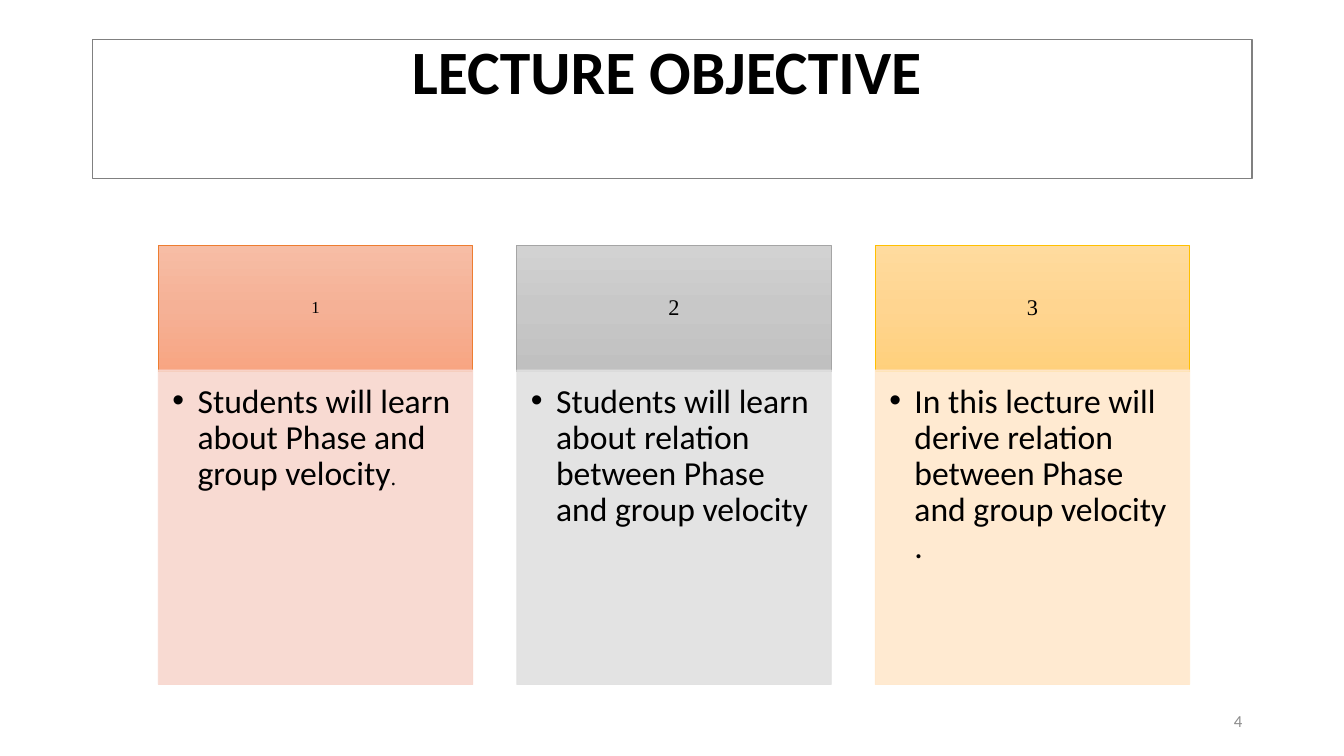
from copy import deepcopy

from lxml.etree import SubElement
from pptx import Presentation
from pptx.dml.color import RGBColor
from pptx.enum.shapes import MSO_SHAPE
from pptx.enum.text import MSO_ANCHOR, MSO_AUTO_SIZE, PP_ALIGN
from pptx.oxml.ns import qn
from pptx.util import Inches, Pt

BLACK = RGBColor(0x00, 0x00, 0x00)
FRAME_GRAY = RGBColor(0x80, 0x80, 0x80)
NUMBER_GRAY = RGBColor(0x8C, 0x8C, 0x8C)
ORANGE = RGBColor(0xED, 0x7D, 0x31)
ORANGE_STOPS = (RGBColor(0xF7, 0xBD, 0xA5), RGBColor(0xF5, 0xB1, 0x96), RGBColor(0xF8, 0xA5, 0x82))
ORANGE_TINT = RGBColor(0xF8, 0xD7, 0xCE)
GRAY = RGBColor(0xA5, 0xA5, 0xA5)
GRAY_STOPS = (RGBColor(0xD2, 0xD2, 0xD2), RGBColor(0xC8, 0xC8, 0xC8), RGBColor(0xC0, 0xC0, 0xC0))
GRAY_TINT = RGBColor(0xE1, 0xE1, 0xE1)
GOLD = RGBColor(0xFF, 0xC0, 0x00)
GOLD_STOPS = (RGBColor(0xFF, 0xDB, 0x9E), RGBColor(0xFF, 0xD5, 0x90), RGBColor(0xFF, 0xD0, 0x7C))
GOLD_TINT = RGBColor(0xFF, 0xE8, 0xCC)

SANS, SERIF = "Calibri", "Times New Roman"
COLUMN_LEFT, COLUMN_STEP, COLUMN_WIDTH = 1.57, 3.555, 3.12
HEADER_TOP, HEADER_HEIGHT = 2.43, 1.25
BODY_TOP, BODY_HEIGHT = 3.67, 3.12

COLUMNS = [
    (12, ORANGE, ORANGE_STOPS, ORANGE_TINT,
     [("Students will learn about Phase and group velocity", 24, SANS), (".", 16, SERIF)]),
    (16, GRAY, GRAY_STOPS, GRAY_TINT,
     [("Students will learn about relation between Phase and group velocity", 24, SANS)]),
    (16, GOLD, GOLD_STOPS, GOLD_TINT,
     [("In this lecture will derive relation between Phase and group velocity .", 24, SANS)]),
]


def set_attributes(target, values):
    for name, value in values.items():
        setattr(target, name, value)


def add_run(paragraph, text, size, font_name, color=BLACK, bold=False):
    run = paragraph.add_run()
    run.text = text
    set_attributes(run.font, {"size": Pt(size), "name": font_name, "bold": bold})
    run.font.color.rgb = color


def format_frame(frame, anchor, margins=(0.1, 0.05, 0.1, 0.05)):
    left, top, right, bottom = map(Inches, margins)
    set_attributes(frame, {
        "word_wrap": True, "auto_size": MSO_AUTO_SIZE.NONE, "vertical_anchor": anchor,
        "margin_left": left, "margin_top": top, "margin_right": right, "margin_bottom": bottom,
    })


def add_rectangle(slide, left, top, width, height, line_color, line_width):
    shape = slide.shapes.add_shape(
        MSO_SHAPE.RECTANGLE, Inches(left), Inches(top), Inches(width), Inches(height))
    shape.shadow.inherit = False
    shape.line.color.rgb = line_color
    shape.line.width = Pt(line_width)
    return shape


def fill_gradient(shape, colors):
    shape.fill.gradient()
    shape.fill.gradient_angle = 270
    stop_list = shape._element.spPr.find(qn("a:gradFill")).find(qn("a:gsLst"))
    stop_list.append(deepcopy(stop_list[-1]))
    for stop, color, position in zip(shape.fill.gradient_stops, colors, (0, 0.5, 1)):
        stop.color.rgb = color
        stop.position = position


def set_opacity(shape, percent):
    for color in shape._element.spPr.iter(qn("a:srgbClr")):
        SubElement(color, qn("a:alpha")).set("val", str(percent * 1000))


def add_bullet(paragraph, indent):
    properties = paragraph._p.get_or_add_pPr()
    properties.set("marL", str(Inches(indent)))
    properties.set("indent", str(-Inches(indent)))
    SubElement(properties, qn("a:buFont")).set("typeface", "Arial")
    SubElement(properties, qn("a:buChar")).set("char", "•")


def add_title(slide, text):
    title = slide.shapes.title
    set_attributes(title, {"left": Inches(1.43), "top": Inches(0.28),
                           "width": Inches(10.37), "height": Inches(0.84)})
    format_frame(title.text_frame, MSO_ANCHOR.TOP)
    paragraph = title.text_frame.paragraphs[0]
    paragraph.alignment = PP_ALIGN.CENTER
    add_run(paragraph, text, 44, SANS, bold=True)


def add_header(slide, left, number, size, line_color, stops):
    header = add_rectangle(slide, left, HEADER_TOP, COLUMN_WIDTH, HEADER_HEIGHT, line_color, 0.5)
    fill_gradient(header, stops)
    format_frame(header.text_frame, MSO_ANCHOR.MIDDLE)
    paragraph = header.text_frame.paragraphs[0]
    set_attributes(paragraph, {"alignment": PP_ALIGN.CENTER, "line_spacing": 0.9})
    add_run(paragraph, str(number), size, SERIF)


def add_body(slide, left, tint, runs):
    body = add_rectangle(slide, left, BODY_TOP, COLUMN_WIDTH, BODY_HEIGHT, tint, 0.5)
    body.fill.solid()
    body.fill.fore_color.rgb = tint
    set_opacity(body, 90)
    format_frame(body.text_frame, MSO_ANCHOR.TOP, (0.14, 0.14, 0.19, 0.21))
    paragraph = body.text_frame.paragraphs[0]
    set_attributes(paragraph, {"alignment": PP_ALIGN.LEFT, "line_spacing": 0.9})
    add_bullet(paragraph, 0.25)
    for text, size, font_name in runs:
        add_run(paragraph, text, size, font_name)


def add_slide_number(slide, number):
    box = slide.shapes.add_textbox(Inches(9.42), Inches(6.95), Inches(3), Inches(0.4))
    format_frame(box.text_frame, MSO_ANCHOR.MIDDLE)
    paragraph = box.text_frame.paragraphs[0]
    paragraph.alignment = PP_ALIGN.RIGHT
    add_run(paragraph, str(number), 12, SANS, NUMBER_GRAY)


def main():
    """Build the lecture objective slide with three numbered columns."""
    presentation = Presentation()
    presentation.slide_width, presentation.slide_height = Inches(13.33), Inches(7.5)
    slide = presentation.slides.add_slide(presentation.slide_layouts[5])
    add_slide_number(slide, 4)
    add_title(slide, "LECTURE OBJECTIVE")
    for index, (size, line_color, stops, tint, runs) in enumerate(COLUMNS):
        left = COLUMN_LEFT + index * COLUMN_STEP
        add_header(slide, left, index + 1, size, line_color, stops)
        add_body(slide, left, tint, runs)
    title_frame = add_rectangle(slide, 0.92, 0.39, 11.5, 1.38, FRAME_GRAY, 1)
    title_frame.fill.background()
    presentation.save("out.pptx")


if __name__ == "__main__":
    main()
